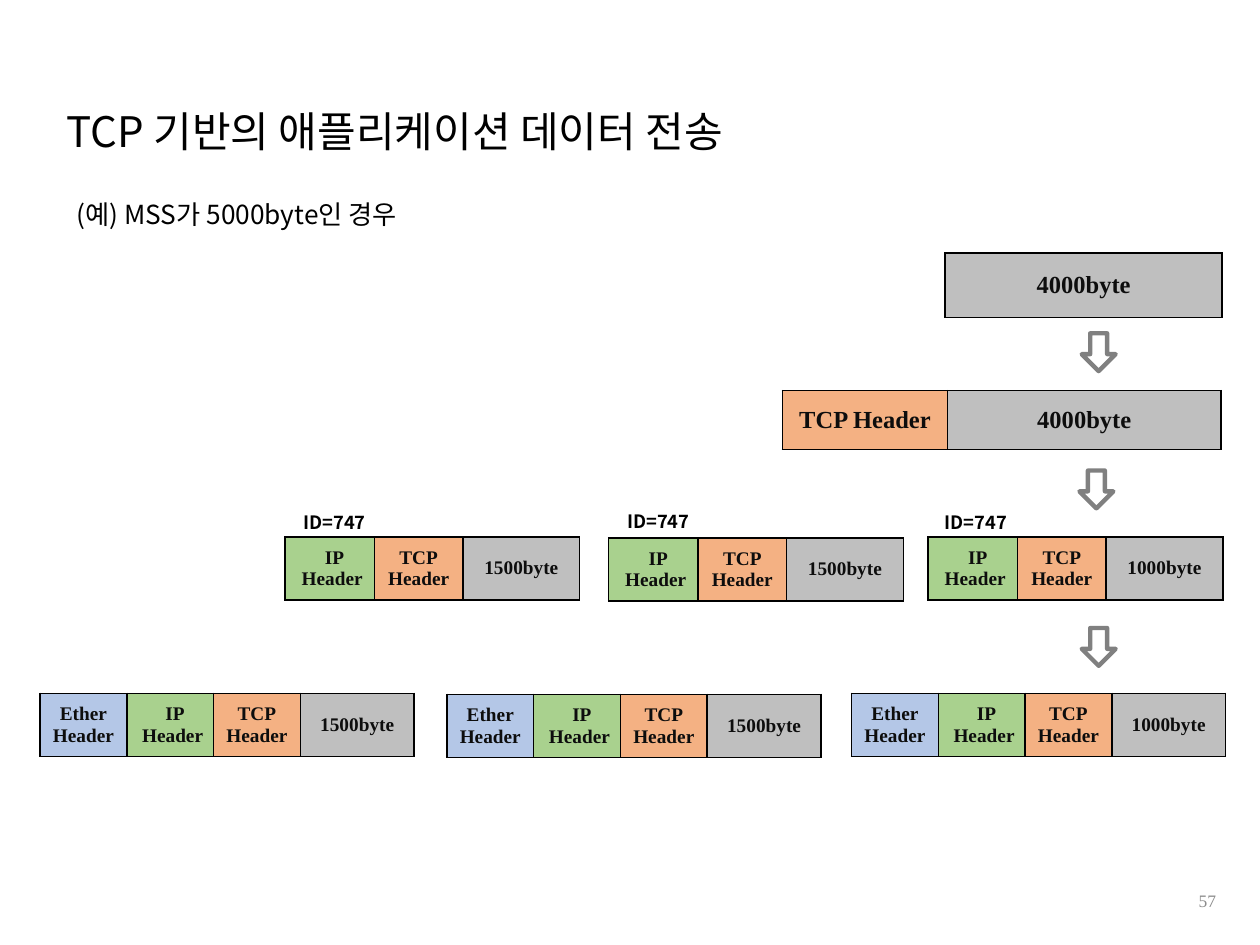
"""Build a slide on how 4000 bytes of data travel through the TCP, IP and Ethernet layers."""
from lxml.etree import SubElement
from pptx import Presentation
from pptx.dml.color import RGBColor
from pptx.enum.shapes import MSO_SHAPE
from pptx.enum.text import MSO_ANCHOR, PP_ALIGN
from pptx.oxml import parse_xml
from pptx.oxml.ns import nsdecls, qn
from pptx.util import Pt

BLACK = RGBColor(0x00, 0x00, 0x00)
INK = RGBColor(0x0D, 0x0D, 0x0D)
BLUE = RGBColor(0xB4, 0xC7, 0xE7)
GREEN = RGBColor(0xA9, 0xD1, 0x8E)
ORANGE = RGBColor(0xF4, 0xB1, 0x83)
SILVER = RGBColor(0xBF, 0xBF, 0xBF)
GRAY = RGBColor(0x80, 0x80, 0x80)
PALE = RGBColor(0x8C, 0x8C, 0x8C)
SERIF = "Times New Roman"
SANS = "Noto Sans CJK KR"

ETHER = ("Ether\nHeader", BLUE)
IP = ("IP\nHeader", GREEN)
TCP = ("TCP\nHeader", ORANGE)

deck = Presentation()
deck.slide_width, deck.slide_height = Pt(720), Pt(540)
slide = deck.slides.add_slide(deck.slide_layouts[6])


def add_packet(left, top, height, size, widths, parts):
    """Draw one packet as a single-row table."""
    frame = slide.shapes.add_table(1, len(parts), Pt(left), Pt(top), Pt(sum(widths)), Pt(height))
    table = frame.table
    table.first_row = table.horz_banding = False
    table.rows[0].height = Pt(height)
    for col, (width, (text, color)) in enumerate(zip(widths, parts)):
        table.columns[col].width = Pt(width)
        cell = table.cell(0, col)
        cell.margin_left = cell.margin_right = Pt(5)
        cell.margin_top = cell.margin_bottom = Pt(2.6)
        cell.vertical_anchor = MSO_ANCHOR.MIDDLE
        props = cell._tc.get_or_add_tcPr()
        for side in ("lnL", "lnR", "lnT", "lnB"):
            props.append(parse_xml(
                f'<a:{side} {nsdecls("a")} w="12700"><a:solidFill>'
                f'<a:srgbClr val="{BLACK}"/></a:solidFill></a:{side}>'))
        cell.fill.solid()
        cell.fill.fore_color.rgb = color
        cell.text = text
        for row, para in enumerate(cell.text_frame.paragraphs):
            para.alignment = PP_ALIGN.CENTER
            if color == GREEN:
                para._p.get_or_add_pPr().set("marL", str(Pt((5.5, 2.75)[row])))
            font = para.font
            font.name, font.size, font.bold = SERIF, Pt(size), True
            font.color.rgb = INK


def add_text(text, left, top, width, height, face, size, color, wrap=True):
    """Add a text box and return its paragraph."""
    box = slide.shapes.add_textbox(Pt(left), Pt(top), Pt(width), Pt(height))
    box.text_frame.word_wrap = wrap
    para = box.text_frame.paragraphs[0]
    para.text = text
    font = para.font
    font.name, font.size = face, Pt(size)
    font.color.rgb = color
    for run in para.runs:
        SubElement(run._r.get_or_add_rPr(), qn("a:ea"), typeface=face)
    return para


add_text("TCP 기반의 애플리케이션 데이터 전송", 31, 57, 422, 65, SANS, 24, BLACK)
add_text("(예) MSS가 5000byte인 경우", 36.7, 109.5, 212.5, 25, SANS, 15, BLACK)

add_packet(540, 144.7, 36.7, 14, [158.4], [("4000byte", SILVER)])
add_packet(447.1, 223.2, 33.8, 14, [94.4, 156.2],
           [("TCP Header", ORANGE), ("4000byte", SILVER)])

for ip, tag, ether, drop, load in (
        (162.9, 166.3, 22.9, 0, "1500byte"),
        (347.8, 351.4, 255.4, 0.6, "1500byte"),
        (530.4, 532.8, 486.6, 0, "1000byte")):
    data = (load, SILVER)
    add_packet(ip, 306.8 + drop, 36, 11, [51.1, 50.6, 66.7], [IP, TCP, data])
    add_packet(ether, 396.2 + drop, 36, 11, [49.6, 49.6, 49.6, 65], [ETHER, IP, TCP, data])
    label = add_text("ID=747", tag, 288.7 - drop, 51, 20, SANS, 10.5, BLACK, False)
    label.font.bold = True

for left, top in ((617, 191.6), (615.7, 270), (617, 360)):
    arrow = slide.shapes.add_shape(MSO_SHAPE.RIGHT_ARROW, Pt(left), Pt(top), Pt(21.6), Pt(19.4))
    arrow.rotation = 90
    arrow.shadow.inherit = False
    arrow.fill.background()
    arrow.line.color.rgb = GRAY
    arrow.line.width = Pt(2.5)

page = add_text("57", 540, 505, 162, 20, SERIF, 10, PALE)
page.alignment = PP_ALIGN.RIGHT

deck.save("out.pptx")
